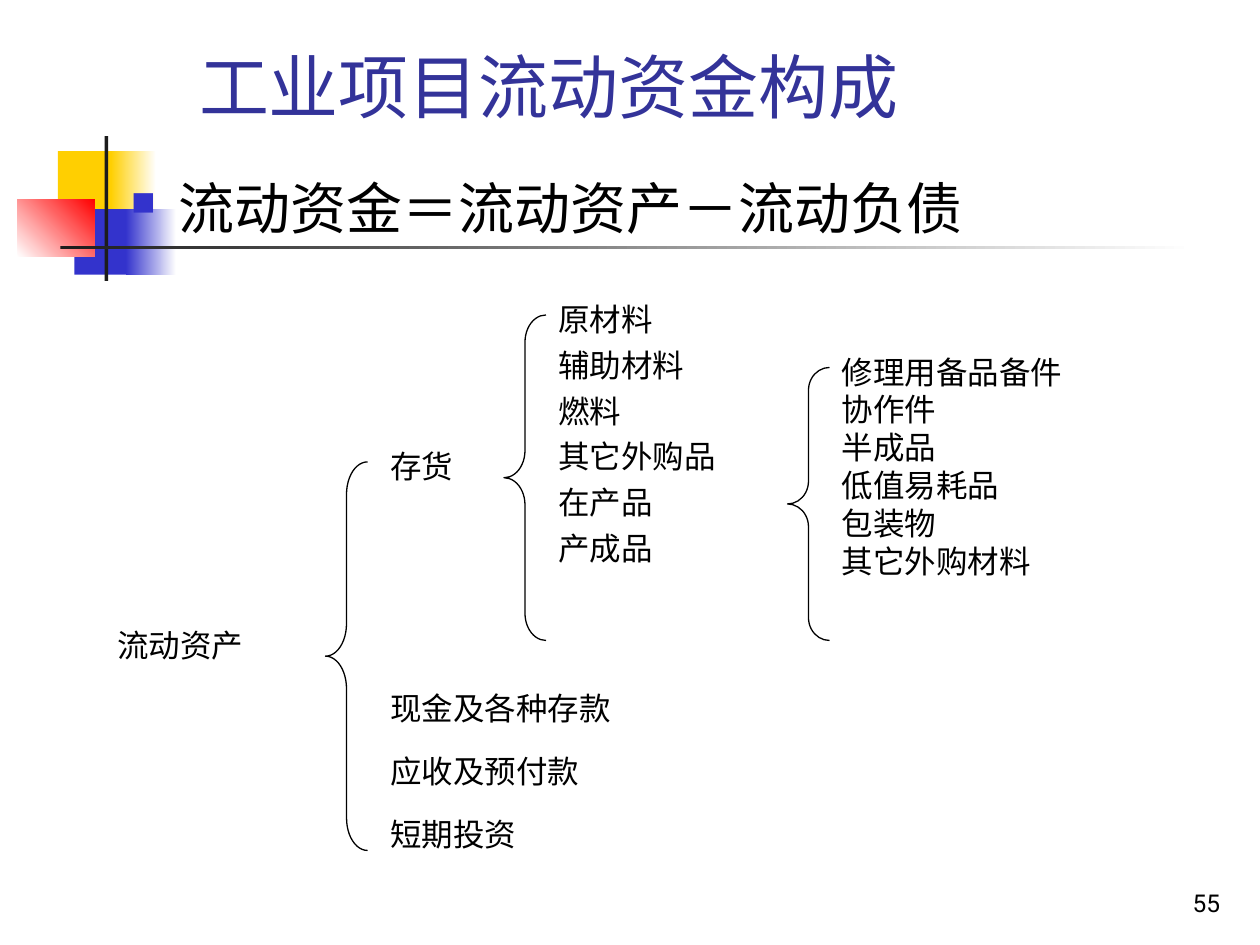
from lxml import etree
from pptx import Presentation
from pptx import util as u
from pptx.dml.color import RGBColor
from pptx.enum import shapes, text
from pptx.oxml import ns

COLUMNS_PER_INCH = 12
BLACK, WHITE, CHARCOAL = "000000", "FFFFFF", "1C1C1C"
YELLOW, BLUE, RED, INDIGO = "FFCF01", "3333CC", "FF0000", "333399"

ORNAMENTS = [
    ((0.46, 1.2, 0.48, 0.52), [YELLOW], 0),
    ((0.88, 1.2, 0.36, 0.52), [YELLOW, WHITE], 0),
    ((0.59, 1.66, 0.46, 0.52), [BLUE], 0),
    ((1, 1.66, 0.4, 0.52), [BLUE, WHITE], 0),
    ((0.14, 1.58, 0.61, 0.46), [WHITE, RED], 45),
    ((0.83, 1.08, 0.03, 1.15), [CHARCOAL], 0),
    ((0.48, 1.95, 9, 0.03), [CHARCOAL, WHITE], 0),
]
BRACES = [(31, 44, 37), (48, 30, 31), (75, 35, 26)]
LABELS = [
    (10, 59, 19, ["流动资产"], 0),
    (36, 42, 11, ["存货"], 0),
    (52, 28, 27, ["原材料", "辅助材料", "燃料", "其它外购品", "在产品", "产成品"], 4.5),
    (79, 33, 32, ["修理用备品备件", "协作件", "半成品", "低值易耗品", "包装物", "其它外购材料"], 0),
    (36, 65, 33, ["现金及各种存款"], 0),
    (36, 71, 27, ["应收及预付款"], 0),
    (36, 77, 25, ["短期投资"], 0),
]


def color(value):
    """Turn a hex string into a colour."""
    return RGBColor.from_string(value)


def inches(*values):
    """Turn numbers of inches into lengths."""
    return [u.Inches(value) for value in values]


def grid(*cells):
    """Turn counts of grid cells into lengths."""
    return inches(*(cell / COLUMNS_PER_INCH for cell in cells))


def style(para, size, tint=BLACK, font="Roboto"):
    """Set the font of a whole paragraph."""
    para.font.size = u.Pt(size)
    para.font.name = font
    para.font.color.rgb = color(tint)


def add_ornament(page, place, tints, angle):
    """Add a rectangle with a plain or two-colour fill."""
    block = page.shapes.add_shape(shapes.MSO_SHAPE.RECTANGLE, *inches(*place))
    block.shadow.inherit = False
    block.line.fill.background()
    if len(tints) == 1:
        block.fill.solid()
        block.fill.fore_color.rgb = color(tints[0])
        return
    block.fill.gradient()
    block.fill.gradient_angle = angle
    for stop, tint in zip(block.fill.gradient_stops, tints):
        stop.color.rgb = color(tint)


def add_brace(page, column, row, rows):
    """Add a left brace whose curves are a twelfth of its height."""
    columns = 4
    brace = page.shapes.add_shape(
        shapes.MSO_SHAPE.LEFT_BRACE, *grid(column, row, columns, rows))
    brace.adjustments[0] = rows / 12 / columns
    brace.shadow.inherit = False
    brace.fill.background()
    brace.line.color.rgb = color(BLACK)
    brace.line.width = u.Pt(0.75)


def add_box(page, place, lines, size, gap=0, font="Roboto"):
    """Add a wrapping text box with one paragraph a line."""
    box = page.shapes.add_textbox(*place)
    frame = box.text_frame
    frame.word_wrap = True
    frame.text = "\n".join(lines)
    for index, para in enumerate(frame.paragraphs):
        if index and gap:
            para.space_before = u.Pt(gap)
        style(para, size, font=font)
    return frame


def add_bullet(para, indent):
    """Give a paragraph a small square bullet with a hanging indent."""
    props = para._p.get_or_add_pPr()
    props.set("marL", str(u.Inches(indent)))
    props.set("indent", str(-u.Inches(indent)))
    tint = etree.SubElement(props, ns.qn("a:buClr"))
    etree.SubElement(tint, ns.qn("a:srgbClr"), val=BLUE)
    etree.SubElement(props, ns.qn("a:buSzPct"), val="60000")
    etree.SubElement(props, ns.qn("a:buFont"), typeface="OpenSymbol")
    etree.SubElement(props, ns.qn("a:buChar"), char="■")


def set_title(page, words):
    """Place and format the title."""
    title = page.shapes.title
    title.left, title.top, title.width, title.height = inches(1.48, 0.23, 6.36, 0.83)
    frame = title.text_frame
    frame.text = words
    frame.auto_size = text.MSO_AUTO_SIZE.NONE
    frame.vertical_anchor = text.MSO_ANCHOR.BOTTOM
    para = frame.paragraphs[0]
    para.alignment = text.PP_ALIGN.LEFT
    style(para, 40, INDIGO)


def main():
    """Build the slide and save it."""
    deck = Presentation()
    deck.slide_width, deck.slide_height = inches(10, 7.5)
    page = deck.slides.add_slide(deck.slide_layouts[5])

    for ornament in ORNAMENTS:
        add_ornament(page, *ornament)
    set_title(page, "工业项目流动资金构成")

    formula = add_box(page, inches(0.94, 1.33, 8.5, 5.33),
                      ["流动资金＝流动资产－流动负债"], 32, font="Noto Sans CJK SC")
    add_bullet(formula.paragraphs[0], 0.38)

    number = add_box(page, grid(92.4, 82, 25, 6), ["55"], 14)
    number.vertical_anchor = text.MSO_ANCHOR.BOTTOM
    number.paragraphs[0].alignment = text.PP_ALIGN.RIGHT

    for brace in BRACES:
        add_brace(page, *brace)
    for column, row, columns, lines, gap in LABELS:
        rows = 1.2 + 3.6 * len(lines) + gap / 6 * (len(lines) - 1)
        label = add_box(page, grid(column, row, columns, rows), lines, 18, gap)
        label.auto_size = text.MSO_AUTO_SIZE.SHAPE_TO_FIT_TEXT

    deck.save("out.pptx")


if __name__ == "__main__":
    main()
